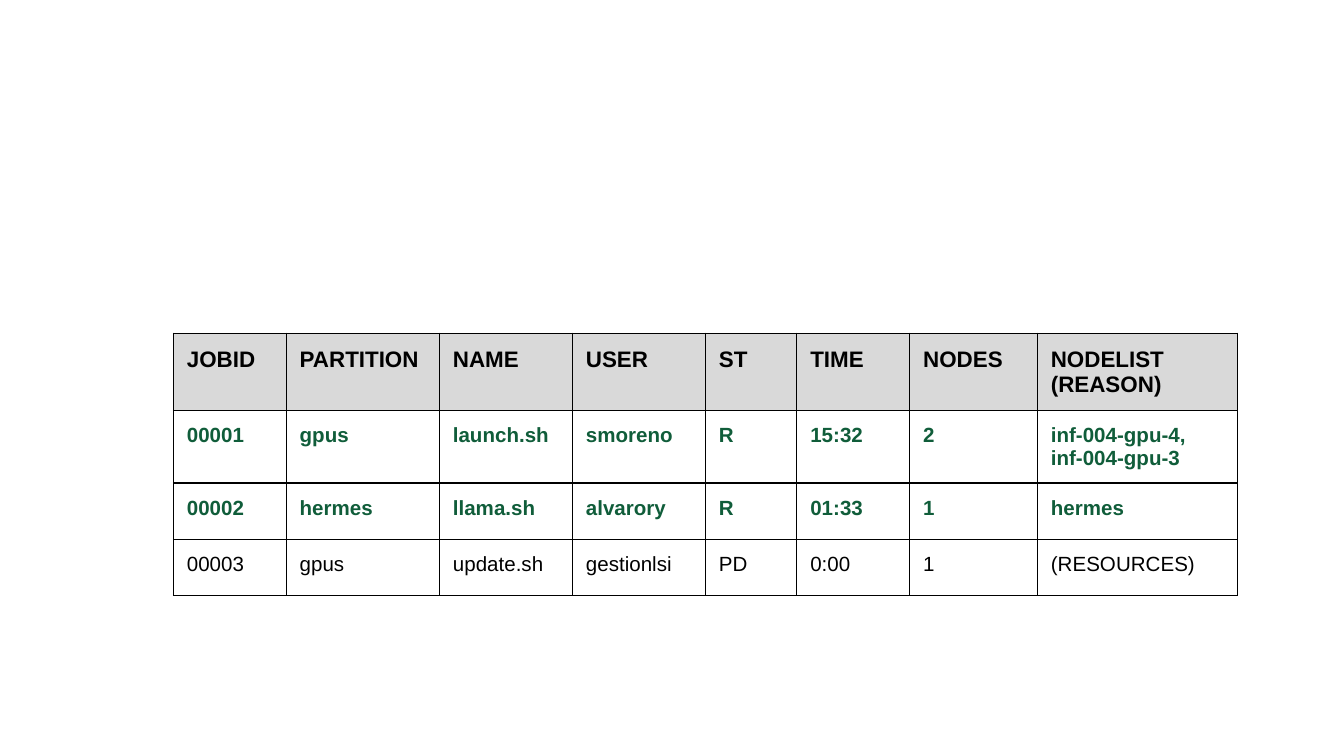
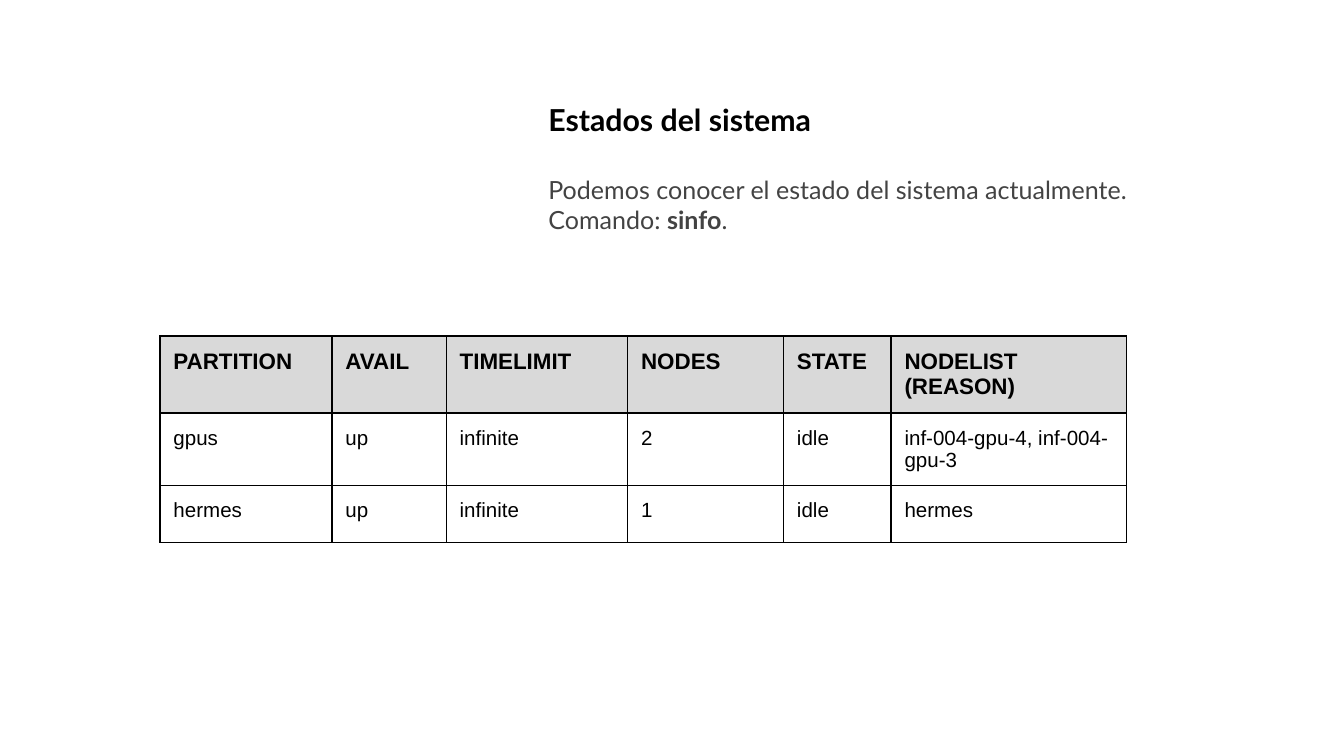
import pptx
import pptx.dml.color
import pptx.enum.text
import pptx.oxml
import pptx.oxml.ns
import pptx.util
from dataclasses import dataclass

Inches = pptx.util.Inches
Pt = pptx.util.Pt


@dataclass(frozen=True)
class Theme:
    title_font: str = "Lato"
    table_font: str = "Arial"
    black: str = "000000"
    grey: str = "434343"
    green: str = "105D3A"
    header_fill: str = "D9D9D9"
    title_size: float = 16.2
    text_size: float = 13.4
    header_size: float = 12
    cell_size: float = 11
    border: float = 0.75
    inset: float = 0.1
    row_height: float = 0.42


class Deck:
    def __init__(self, theme):
        self.theme = theme
        self.prs = pptx.Presentation()
        self.prs.slide_width = Inches(10)
        self.prs.slide_height = Inches(10) * 9 // 16
        self.s = None

    def slide(self, layout):
        self.s = self.prs.slides.add_slide(self.prs.slide_layouts.get_by_name(layout))

    def style(self, font, name, size, color, bold=None):
        font.name = name
        font.size = Pt(size)
        font.color.rgb = pptx.dml.color.RGBColor.from_string(color)
        font.bold = bold

    def title(self, left, top, width, height, heading, runs):
        t = self.theme
        sp = self.s.shapes.title
        sp.left, sp.top, sp.width, sp.height = map(Inches, (left, top, width, height))
        tf = sp.text_frame
        tf.word_wrap = True
        tf.auto_size = pptx.enum.text.MSO_AUTO_SIZE.NONE
        tf.vertical_anchor = pptx.enum.text.MSO_ANCHOR.TOP
        tf.margin_left = tf.margin_right = tf.margin_top = tf.margin_bottom = Inches(t.inset)
        p = tf.paragraphs[0]
        p.text = heading
        self.style(p.font, t.title_font, t.title_size, t.black, True)
        p.alignment = pptx.enum.text.PP_ALIGN.LEFT
        p = tf.add_paragraph()
        p.alignment = pptx.enum.text.PP_ALIGN.LEFT
        p.space_before = Pt(20)
        self.style(p.font, t.title_font, t.text_size, t.grey)
        for text, bold in runs:
            r = p.add_run()
            r.text = text
            r.font.bold = bold

    def borders(self, cell):
        tcPr = cell._tc.get_or_add_tcPr()
        for side in ("lnL", "lnR", "lnT", "lnB"):
            tcPr.append(pptx.oxml.parse_xml(
                f'<a:{side} {pptx.oxml.ns.nsdecls("a")} w="{Pt(self.theme.border)}">'
                f'<a:solidFill><a:srgbClr val="{self.theme.black}"/></a:solidFill></a:{side}>'))

    def cell(self, cell, text, size, color, bold, fill):
        self.borders(cell)
        if fill:
            cell.fill.solid()
            cell.fill.fore_color.rgb = pptx.dml.color.RGBColor.from_string(fill)
        else:
            cell.fill.background()
        cell.margin_left = cell.margin_right = Inches(self.theme.inset)
        cell.margin_top = cell.margin_bottom = Inches(self.theme.inset)
        p = cell.text_frame.paragraphs[0]
        p.text = text
        self.style(p.font, self.theme.table_font, size, color, bold)

    def table(self, left, top, widths, header, rows, running=0):
        t = self.theme
        grid = [header] + rows
        tbl = self.s.shapes.add_table(
            len(grid), len(header), Inches(left), Inches(top),
            Inches(sum(widths)), Inches(t.row_height * len(grid))).table
        tbl.first_row = tbl.horz_banding = False
        for col, width in zip(tbl.columns, widths):
            col.width = Inches(width)
        for i, values in enumerate(grid):
            if i == 0:
                look = (t.header_size, t.black, True, t.header_fill)
            elif i <= running:
                look = (t.cell_size, t.green, True, None)
            else:
                look = (t.cell_size, t.black, False, None)
            for j, text in enumerate(values):
                self.cell(tbl.cell(i, j), text, *look)


def main():
    deck = Deck(Theme())
    nodes = "inf-004-gpu-4, inf-004-gpu-3"
    nodelist = "NODELIST (REASON)"

    deck.slide("Blank")
    deck.table(
        1.29, 2.48, [0.84, 1.14, 0.99, 0.99, 0.68, 0.84, 0.95, 1.49],
        ["JOBID", "PARTITION", "NAME", "USER", "ST", "TIME", "NODES", nodelist],
        [["00001", "gpus", "launch.sh", "smoreno", "R", "15:32", "2", nodes],
         ["00002", "hermes", "llama.sh", "alvarory", "R", "01:33", "1", "hermes"],
         ["00003", "gpus", "update.sh", "gestionlsi", "PD", "0:00", "1", "(RESOURCES)"]],
        running=2)

    deck.slide("Title Only")
    deck.title(
        3.98, 0.65, 5.14, 1.09, "Estados del sistema",
        [("Podemos conocer el estado del sistema actualmente. Comando: ", False),
         ("sinfo", True), (".", False)])
    deck.table(
        1.19, 2.5, [1.28, 0.85, 1.35, 1.16, 0.8, 1.75],
        ["PARTITION", "AVAIL", "TIMELIMIT", "NODES", "STATE", nodelist],
        [["gpus", "up", "infinite", "2", "idle", nodes],
         ["hermes", "up", "infinite", "1", "idle", "hermes"]])

    deck.prs.save("out.pptx")


if __name__ == "__main__":
    main()
